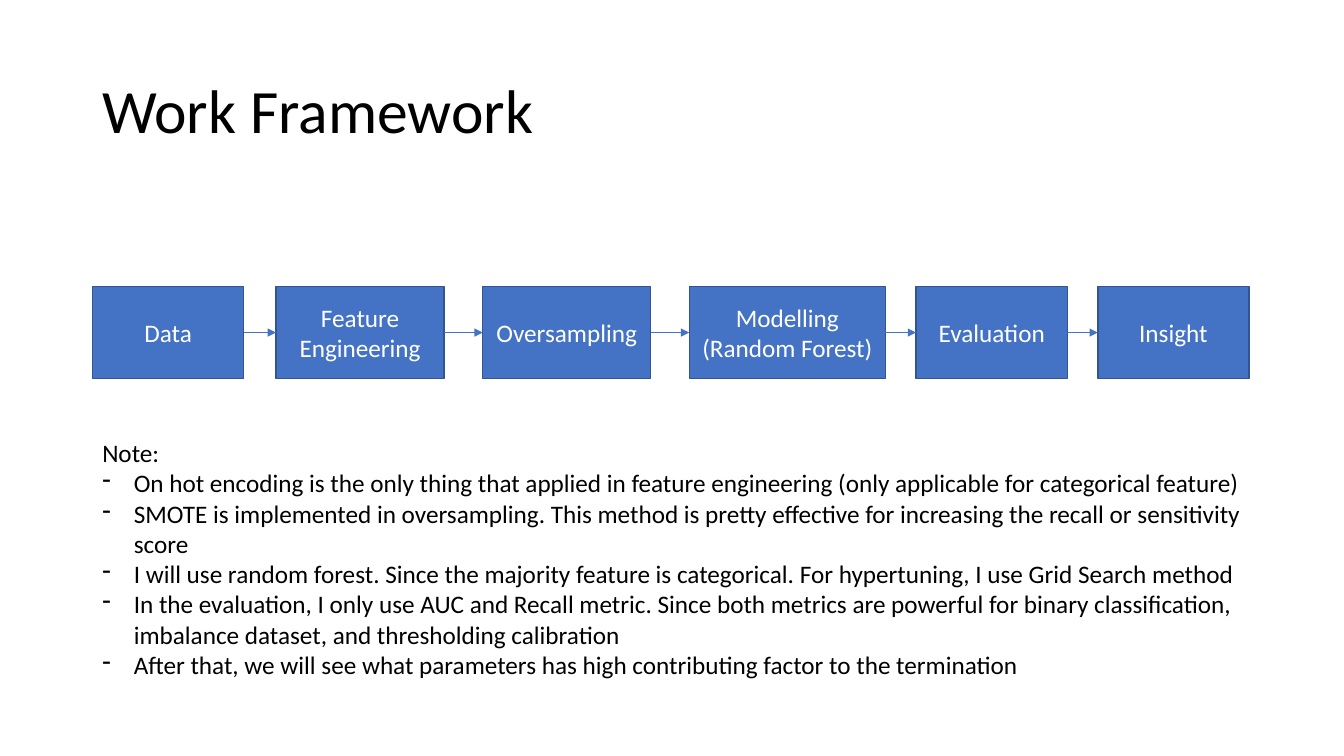
from itertools import pairwise

from lxml import etree
from pptx import Presentation
from pptx.dml.color import RGBColor
from pptx.enum import shapes, text
from pptx.oxml import ns
from pptx.util import Pt

FONT = "Calibri"
BLACK, WHITE, BLUE, DARK_BLUE = "000000", "FFFFFF", "4472C4", "325491"
STEPS = [
    ("Data", 0, 108),
    ("Feature Engineering", 131, 120),
    ("Oversampling", 278.6, 120),
    ("Modelling\n(Random Forest)", 426.2, 140),
    ("Evaluation", 588.2, 108),
    ("Insight", 718, 108),
]
NOTES = [
    "On hot encoding is the only thing that applied in feature engineering (only applicable for categorical feature)",
    "SMOTE is implemented in oversampling. This method is pretty effective for increasing the recall or sensitivity score",
    "I will use random forest. Since the majority feature is categorical. For hypertuning, I use Grid Search method",
    "In the evaluation, I only use AUC and Recall metric. Since both metrics are powerful for binary classification, "
    "imbalance dataset, and thresholding calibration",
    "After that, we will see what parameters has high contributing factor to the termination",
]


def color(hex_string):
    return RGBColor.from_string(hex_string)


def style(paragraph, size, hex_string):
    paragraph.font.name = FONT
    paragraph.font.size = Pt(size)
    paragraph.font.color.rgb = color(hex_string)


def add_title(slide, left, top, width, height):
    title = slide.shapes.add_textbox(Pt(left), Pt(top), Pt(width), Pt(height)).text_frame
    title.word_wrap = True
    title.vertical_anchor = text.MSO_ANCHOR.MIDDLE
    title.text = "Work Framework"
    title.paragraphs[0].line_spacing = 0.9
    style(title.paragraphs[0], 44, BLACK)


def add_step(slide, label, left, top, width, height):
    step = slide.shapes.add_shape(
        shapes.MSO_SHAPE.RECTANGLE, Pt(left), Pt(top), Pt(width), Pt(height))
    step.shadow.inherit = False
    step.fill.solid()
    step.fill.fore_color.rgb = color(BLUE)
    step.line.color.rgb = color(DARK_BLUE)
    step.line.width = Pt(1)
    step.text_frame.text = label
    step.text_frame.vertical_anchor = text.MSO_ANCHOR.MIDDLE
    for paragraph in step.text_frame.paragraphs:
        paragraph.alignment = text.PP_ALIGN.CENTER
        style(paragraph, 18, WHITE)
    return step


def add_arrow(slide, source, target):
    middle = source.top + source.height // 2
    arrow = slide.shapes.add_connector(
        shapes.MSO_CONNECTOR.STRAIGHT, source.left + source.width, middle, target.left, middle)
    arrow.begin_connect(source, 3)
    arrow.end_connect(target, 1)
    arrow.line.color.rgb = color(BLUE)
    arrow.line.width = Pt(0.5)
    etree.SubElement(arrow.line._get_or_add_ln(), ns.qn("a:tailEnd"), type="triangle")
    etree.SubElement(arrow._element.spPr, ns.qn("a:effectLst"))


def add_workflow(slide, left, top, height):
    steps = [add_step(slide, label, left + offset, top, width, height)
             for label, offset, width in STEPS]
    for source, target in pairwise(steps):
        add_arrow(slide, source, target)


def add_notes(slide, left, top, width, height):
    notes = slide.shapes.add_textbox(Pt(left), Pt(top), Pt(width), Pt(height)).text_frame
    notes.word_wrap = True
    notes.text = "\n".join(["Note:", *NOTES])
    for paragraph in notes.paragraphs:
        style(paragraph, 18, BLACK)
    for paragraph in notes.paragraphs[1:]:
        properties = paragraph._p.get_or_add_pPr()
        properties.set("marL", str(Pt(22.5)))
        properties.set("indent", str(-Pt(22.5)))
        bullet_font = etree.Element(ns.qn("a:buFontTx"))
        bullet = etree.Element(ns.qn("a:buChar"), char="-")
        properties.insert(0, bullet_font)
        properties.insert(1, bullet)


def main():
    deck = Presentation()
    deck.slide_width, deck.slide_height = Pt(960), Pt(540)
    slide = deck.slides.add_slide(deck.slide_layouts[6])
    add_title(slide, 66, 28.8, 828, 104.4)
    add_workflow(slide, 66.2, 204.8, 65.5)
    add_notes(slide, 66, 309, 828, 203.8)
    deck.save("out.pptx")


if __name__ == "__main__":
    main()
